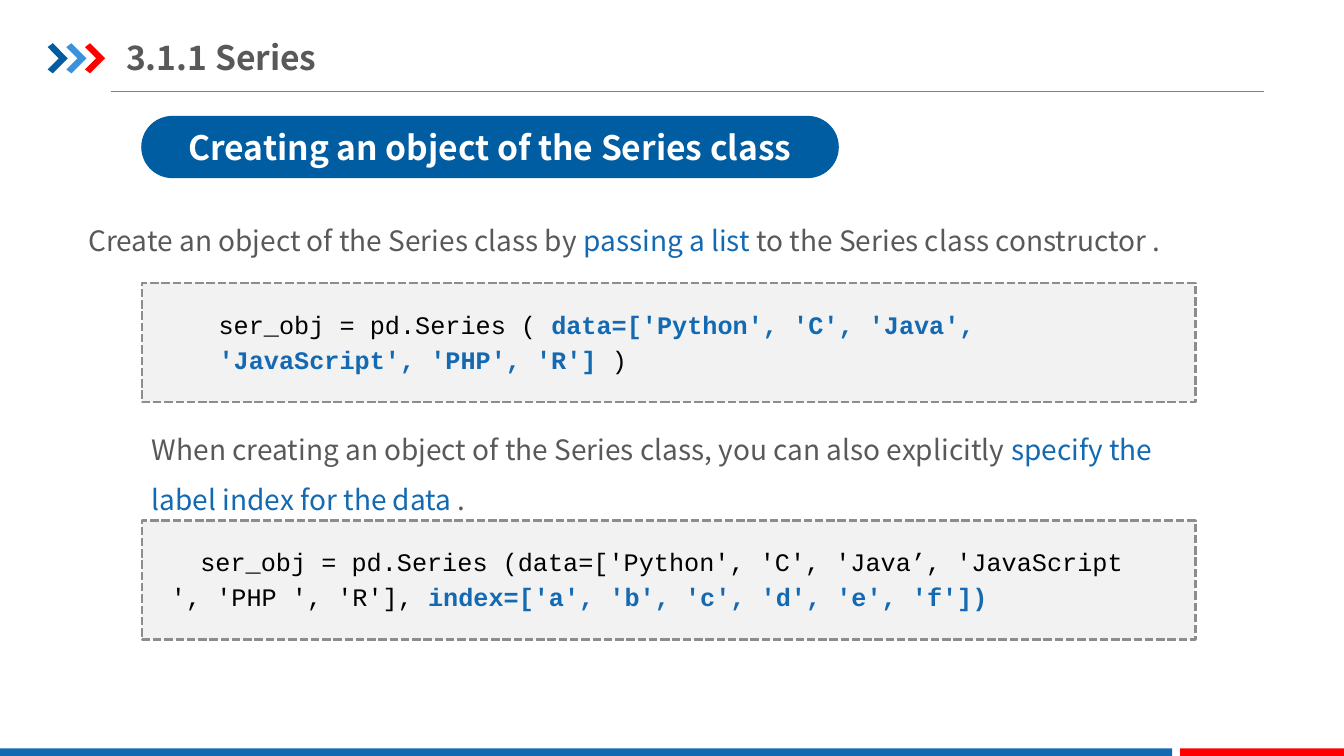
from lxml.etree import SubElement
from pptx import Presentation
from pptx.dml.color import RGBColor
from pptx.enum.dml import MSO_LINE
from pptx.enum.shapes import MSO_CONNECTOR, MSO_SHAPE
from pptx.enum.text import MSO_ANCHOR, MSO_AUTO_SIZE, PP_ALIGN
from pptx.oxml.ns import qn
from pptx.util import Cm, Pt

WHITE = RGBColor(0xFF, 0xFF, 0xFF)
BLACK = RGBColor(0x00, 0x00, 0x00)
NAVY = RGBColor(0x00, 0x5D, 0xA2)
SKY = RGBColor(0x39, 0x92, 0xDB)
RED = RGBColor(0xFF, 0x00, 0x00)
BLUE = RGBColor(0x13, 0x69, 0xB2)
TEXT = RGBColor(0x59, 0x59, 0x59)
RULE = RGBColor(0x80, 0x80, 0x80)
PALE = RGBColor(0xF2, 0xF2, 0xF2)
DASH = RGBColor(0x8D, 0x8D, 0x8D)
SANS = "Noto Sans CJK SC"
MONO = "Courier New"


def paint(shape, color):
    shape.shadow.inherit = False
    shape.fill.solid()
    shape.fill.fore_color.rgb = color
    shape.line.fill.background()


def add_block(slide, kind, box, color):
    shape = slide.shapes.add_shape(kind, *map(Cm, box))
    paint(shape, color)
    return shape


def add_text(slide, box):
    frame = slide.shapes.add_textbox(*map(Cm, box)).text_frame
    frame.word_wrap = True
    return frame


def style(para, font, size, color, bold=False):
    para.font.name = font
    para.font.size = Pt(size)
    para.font.color.rgb = color
    para.font.bold = bold


def add_runs(para, runs, bold=False):
    """Add (text, marked) runs; marked ones are blue and, if asked, bold."""
    for text, marked in runs:
        run = para.add_run()
        run.text = text
        if marked:
            run.font.color.rgb = BLUE
            if bold:
                run.font.bold = True


def add_arrows(slide, left, top, size):
    """Draw three chevrons, size being the height of one."""
    points = [(0, 0.13), (0.17, 0), (0.67, 0.5), (0.17, 1), (0, 0.87), (0.37, 0.5)]
    for i, color in enumerate((NAVY, SKY, RED)):
        x = left + i * 0.62 * size
        spots = [(Cm(x + a * size), Cm(top + b * size)) for a, b in points]
        path = slide.shapes.build_freeform(*spots[0])
        path.add_line_segments(spots[1:], close=True)
        paint(path.convert_to_shape(), color)


def add_head(slide, left, top, width, title):
    add_arrows(slide, left, top, 0.76)
    y = Cm(top + 1.22)
    line = slide.shapes.add_connector(
        MSO_CONNECTOR.STRAIGHT, Cm(left + 1.6), y, Cm(left + width), y)
    line.line.color.rgb = RULE
    line.line.width = Pt(0.75)
    SubElement(line._element.spPr, qn("a:effectLst"))
    frame = add_text(slide, (left + 1.98, top - 0.35, 11.56, 1.4))
    frame.margin_left = frame.margin_right = 0
    frame.vertical_anchor = MSO_ANCHOR.MIDDLE
    para = frame.paragraphs[0]
    para.text = title
    style(para, SANS, 24, TEXT, True)


def add_foot(slide, top, width, height):
    blue, gap = 29.54, 0.2
    red = blue + gap
    add_block(slide, MSO_SHAPE.RECTANGLE, (0, top, blue, height), BLUE)
    add_block(slide, MSO_SHAPE.RECTANGLE, (red, top, width - red, height), RED)


def add_pill(slide, box, text):
    pill = add_block(slide, MSO_SHAPE.ROUNDED_RECTANGLE, box, NAVY)
    pill.adjustments[0] = 0.5
    pill.text_frame.vertical_anchor = MSO_ANCHOR.MIDDLE
    para = pill.text_frame.paragraphs[0]
    para.text = text
    para.alignment = PP_ALIGN.CENTER
    style(para, SANS, 24, WHITE, True)


def add_note(slide, box, runs):
    frame = add_text(slide, box)
    frame.auto_size = MSO_AUTO_SIZE.SHAPE_TO_FIT_TEXT
    para = frame.paragraphs[0]
    para.line_spacing = 1.5
    style(para, SANS, 20, TEXT)
    add_runs(para, runs)


def add_code(slide, box, inset, room, lines):
    """Draw a dashed panel with code set in by inset and room wide."""
    left, top, _, height = box
    panel = add_block(slide, MSO_SHAPE.RECTANGLE, box, PALE)
    panel.line.color.rgb = DASH
    panel.line.width = Pt(2)
    panel.line.dash_style = MSO_LINE.SQUARE_DOT
    frame = add_text(slide, (left + inset, top + 0.42, room, height - 0.96))
    frame.auto_size = MSO_AUTO_SIZE.SHAPE_TO_FIT_TEXT
    for i, runs in enumerate(lines):
        para = frame.add_paragraph() if i else frame.paragraphs[0]
        para.line_spacing = 1.15
        props = para._p.get_or_add_pPr()
        props.set("marL", "0")
        props.set("indent", str(Cm(0.74)))
        style(para, MONO, 18, BLACK)
        add_runs(para, runs, bold=True)


def main():
    deck = Presentation()
    deck.slide_width, deck.slide_height = Cm(33.87), Cm(19.05)
    slide = deck.slides.add_slide(deck.slide_layouts[6])
    left, width, high = 3.58, 26.54, 3

    add_head(slide, 1.2, 1.09, 30.65, "3.1.1 Series")
    add_foot(slide, 18.86, 33.87, 0.22)
    add_pill(slide, (3.56, 2.92, 17.58, 1.57),
             "Creating an object of the Series class")
    add_note(slide, (1.98, 5.08, 28.96, 1.4), [
        ("Create an object of the Series class by ", False),
        ("passing a list ", True),
        ("to the Series class constructor .", False)])
    add_code(slide, (left, 7.13, width, high), 0.94, 23.88, [
        [("ser_obj = pd.Series ( ", False),
         ("data=['Python', 'C', 'Java',", True)],
        [("'JavaScript', 'PHP', 'R'] ", True), (")", False)]])
    add_note(slide, (left, 10.34, width, 1.55), [
        ("When creating an object of the Series class, "
         "you can also explicitly ", False),
        ("specify the label index for the data ", True),
        (".", False)])
    add_code(slide, (left, 13.12, width, high), 0.48, 25.6, [
        [("ser_obj = pd.Series (data=['Python', 'C', 'Java’, "
          "'JavaScript ', 'PHP ', 'R'], ", False),
         ("index=['a', 'b', 'c', 'd', 'e', 'f'])", True)]])
    deck.save("out.pptx")


if __name__ == "__main__":
    main()
